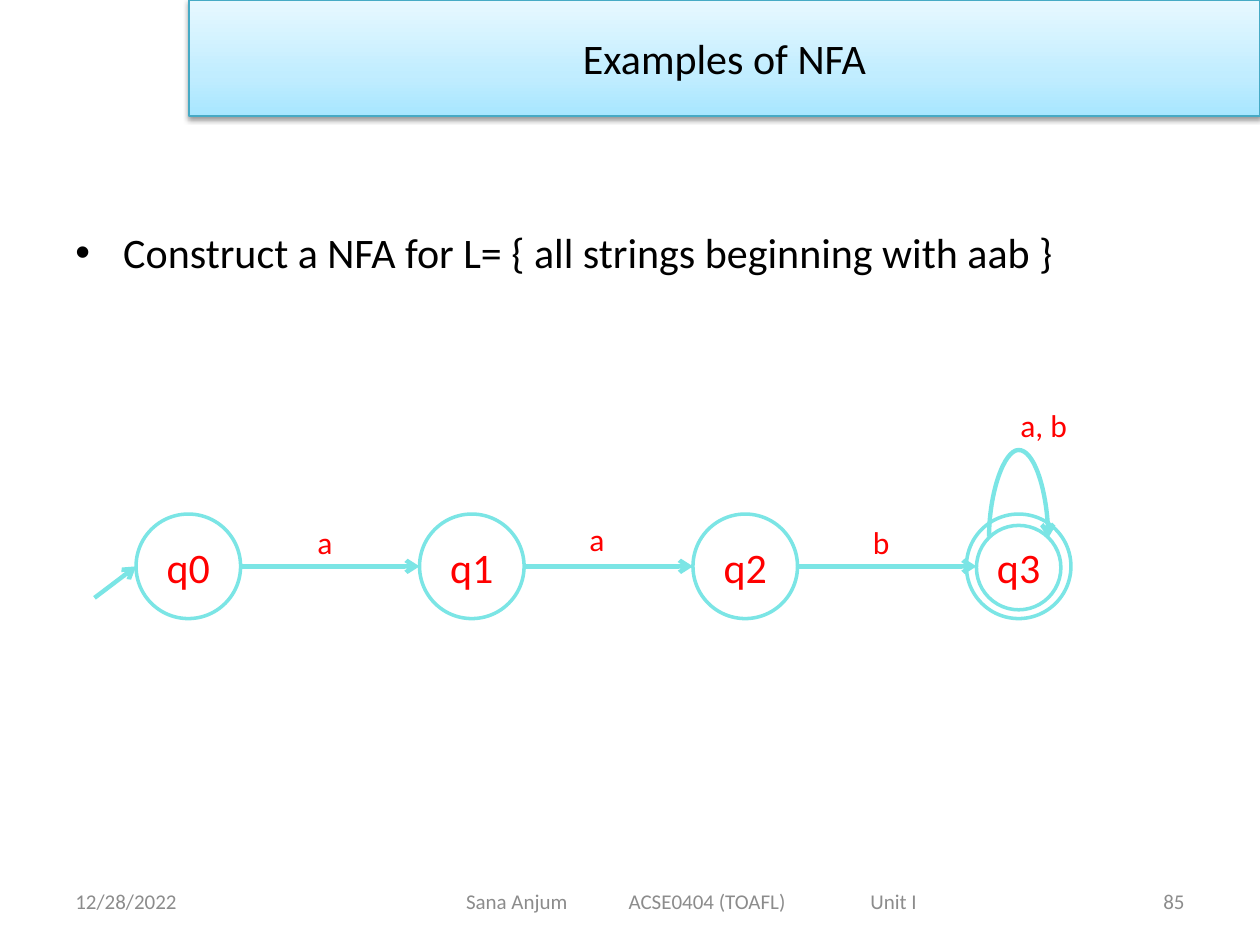
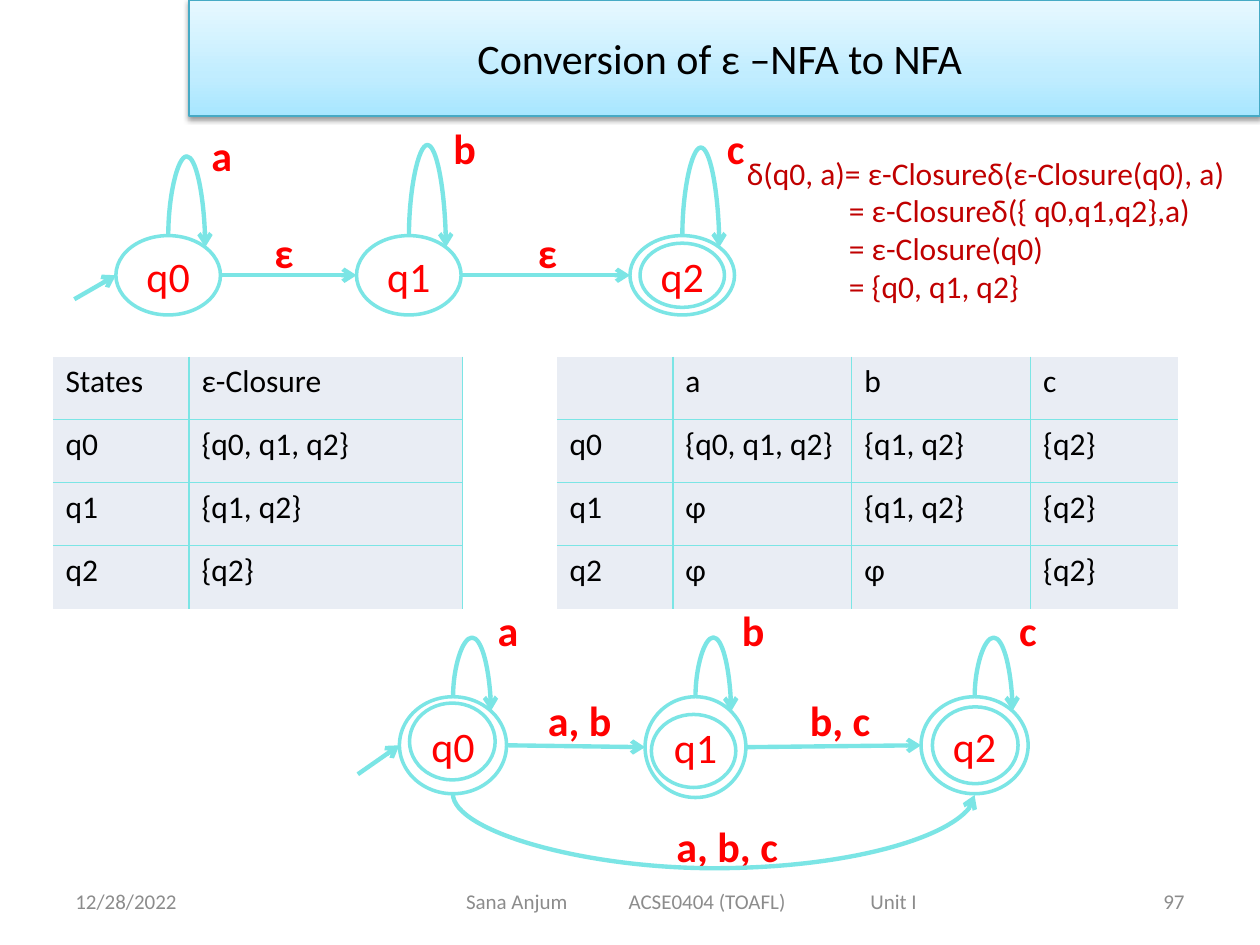
from dataclasses import dataclass
from math import sqrt
from typing import Optional

from lxml import etree
from pptx import Presentation, util as u
from pptx.dml.color import RGBColor
from pptx.enum import shapes, text
from pptx.oxml import ns
from pptx.slide import Slide

FONT = "Calibri"
COLORS = {
    "text": "000000", "footer": "8C8C8C", "state": "FF0000", "formula": "C00000",
    "line": "7BE5E5", "cell": "E9EDF4", "band_line": "46AAC5", "shadow": "000000",
}
BAND_STOPS = {0: "A7E6FF", 35: "C1EDFF", 100: "E7F8FF"}
ALIGN = text.PP_ALIGN
MIDDLE = text.MSO_ANCHOR.MIDDLE
FOOTER_TABS = (1.29, 3.21)
MIN_RISE = 0.01


@dataclass(frozen=True)
class Box:
    left: float
    top: float
    width: float
    height: float

    @property
    def center_x(self) -> float:
        return self.left + self.width / 2

    @property
    def center_y(self) -> float:
        return self.top + self.height / 2

    @property
    def right(self) -> float:
        return self.left + self.width

    @property
    def bottom(self) -> float:
        return self.top + self.height

    def lengths(self) -> tuple[u.Inches, ...]:
        return tuple(u.Inches(v) for v in (self.left, self.top, self.width, self.height))


@dataclass(frozen=True)
class State:
    name: str
    outer: Box
    inner: Optional[Box] = None
    loop_apex: Optional[float] = None
    entry: Optional[float] = None


@dataclass(frozen=True)
class Label:
    words: str
    left: float
    top: float
    width: float = 0.58


@dataclass(frozen=True)
class Automaton:
    states: list[State]
    labels: list[Label]
    start_drop: float
    label_format: dict


@dataclass(frozen=True)
class Grid:
    box: Box
    columns: list[float]
    rows: list[list[str]]
    right_edge: bool = False


LABEL = {"size": u.Pt(18)}
BOLD_LABEL = {"size": u.Pt(24), "bold": True}


def rgb(color: str) -> RGBColor:
    return RGBColor.from_string(COLORS[color])


def child(parent, tag: str, **attributes):
    return etree.SubElement(parent, ns.qn(tag), {k: str(v) for k, v in attributes.items()})


def write(frame, lines: list[str], color: str, form: dict, align=ALIGN.LEFT,
          anchor=text.MSO_ANCHOR.TOP) -> None:
    frame.word_wrap = True
    frame.vertical_anchor = anchor
    frame.text = "\n".join(lines)
    for paragraph in frame.paragraphs:
        paragraph.alignment = align
        for key, value in {"name": FONT, **form}.items():
            setattr(paragraph.font, key, value)
        paragraph.font.color.rgb = rgb(color)


def add_text(slide: Slide, box: Box, lines: list[str], color: str, form: dict, **layout):
    frame = slide.shapes.add_textbox(*box.lengths()).text_frame
    write(frame, lines, color, form, **layout)
    return frame


def add_band(slide: Slide, title: str) -> None:
    band = slide.shapes.add_shape(shapes.MSO_SHAPE.RECTANGLE, *Box(1.5, 0, 8.5, 0.92).lengths())
    band.fill.gradient()
    band.fill.gradient_angle = 90
    properties = band._element.spPr
    stops = properties.find(".//" + ns.qn("a:gsLst"))
    stops.clear()
    for position, color in BAND_STOPS.items():
        child(child(stops, "a:gs", pos=position * 1000), "a:srgbClr", val=color)
    band.line.color.rgb = rgb("band_line")
    band.line.width = u.Pt(0.75)
    band.shadow.inherit = False
    shadow = child(properties.find(ns.qn("a:effectLst")), "a:outerShdw", blurRad=u.Pt(3.1),
                   dist=u.Pt(1.6), dir=5400000, rotWithShape=0)
    child(child(shadow, "a:srgbClr", val=COLORS["shadow"]), "a:alpha", val=38000)
    write(band.text_frame, [title], "text", {"size": u.Pt(24)}, ALIGN.CENTER, MIDDLE)


def add_footer(slide: Slide, number: int) -> None:
    form = {"size": u.Pt(12)}
    add_text(slide, Box(0.5, 6.95, 2.33, 0.4), ["12/28/2022"], "footer", form, anchor=MIDDLE)
    course = add_text(slide, Box(3.6, 6.95, 4.65, 0.4),
                      ["Sana Anjum\tACSE0404 (TOAFL)\tUnit I"], "footer", form, anchor=MIDDLE)
    properties = course.paragraphs[0]._p.get_or_add_pPr()
    tabs = etree.Element(ns.qn("a:tabLst"))
    for stop in FOOTER_TABS:
        child(tabs, "a:tab", pos=u.Inches(stop), algn="l")
    properties.insert(0, tabs)
    add_text(slide, Box(7.17, 6.95, 2.33, 0.4), [str(number)], "footer", form,
             align=ALIGN.RIGHT, anchor=MIDDLE)


def add_arrow(slide: Slide, x1: float, y1: float, x2: float, y2: float,
              kind=shapes.MSO_CONNECTOR.STRAIGHT):
    arrow = slide.shapes.add_connector(kind, *(u.Inches(v) for v in (x1, y1, x2, y2)))
    arrow.line.color.rgb = rgb("line")
    arrow.line.width = u.Pt(2.5)
    properties = arrow._element.spPr
    child(properties.get_or_add_ln(), "a:tailEnd", type="arrow")
    child(properties, "a:effectLst")
    return arrow


def add_arc(slide: Slide, x1: float, y1: float, x2: float, y2: float, apex: float) -> None:
    """Curve that leaves and arrives vertically, turning at the height apex."""
    rise, span = max(y2 - y1, MIN_RISE), x2 - x1
    left, top = (x1 + x2 - rise) / 2, y1 + (rise - span) / 2
    arc = add_arrow(slide, left, top, left + rise, top + span, shapes.MSO_CONNECTOR.CURVE)
    properties = arc._element.spPr
    frame = properties.find(ns.qn("a:xfrm"))
    for key, value in {"rot": "16200000", "flipH": "1"}.items():
        frame.set(key, value)
    geometry = properties.find(ns.qn("a:prstGeom"))
    for old in list(geometry):
        geometry.remove(old)
    bend = round((apex - y1) / rise * 100000)
    child(child(geometry, "a:avLst"), "a:gd", name="adj1", fmla=f"val {bend}")


def add_ellipse(slide: Slide, box: Box):
    ellipse = slide.shapes.add_shape(shapes.MSO_SHAPE.OVAL, *box.lengths())
    ellipse.fill.background()
    ellipse.line.color.rgb = rgb("line")
    ellipse.line.width = u.Pt(2)
    ellipse.shadow.inherit = False
    return ellipse


def add_state(slide: Slide, state: State) -> None:
    outer = state.outer
    if state.inner:
        add_ellipse(slide, state.inner)
    write(add_ellipse(slide, outer).text_frame, [state.name], "state", {"size": u.Pt(24)},
          ALIGN.CENTER, MIDDLE)
    if state.loop_apex is not None:
        add_arc(slide, outer.center_x, outer.top, outer.center_x + outer.width / sqrt(8),
                outer.center_y - outer.height / sqrt(8), state.loop_apex)


def add_automaton(slide: Slide, automaton: Automaton) -> None:
    first = automaton.states[0].outer
    add_arrow(slide, first.left - 0.33, first.center_y + automaton.start_drop,
              first.left, first.center_y)
    for source, target in zip(automaton.states, automaton.states[1:]):
        add_arrow(slide, source.outer.right, source.outer.center_y,
                  target.entry or target.outer.left, target.outer.center_y)
    for state in automaton.states:
        add_state(slide, state)
    for label in automaton.labels:
        add_text(slide, Box(label.left, label.top, label.width, 0.4), [label.words], "state",
                 automaton.label_format)


def set_borders(cell, drawn: dict[str, bool]) -> None:
    properties = cell._tc.get_or_add_tcPr()
    for place, (side, visible) in enumerate(drawn.items()):
        border = etree.Element(ns.qn(f"a:ln{side}"), {"w": str(u.Pt(1))})
        if visible:
            child(child(border, "a:solidFill"), "a:srgbClr", val=COLORS["line"])
        else:
            child(border, "a:noFill")
        properties.insert(place, border)


def add_grid(slide: Slide, grid: Grid) -> None:
    last_row, last_column = len(grid.rows) - 1, len(grid.columns) - 1
    table = slide.shapes.add_table(last_row + 1, last_column + 1, *grid.box.lengths()).table
    table.first_row = table.horz_banding = False
    for column, width in zip(table.columns, grid.columns):
        column.width = u.Inches(width)
    for r, row in enumerate(grid.rows):
        for c, words in enumerate(row):
            cell = table.cell(r, c)
            cell.fill.solid()
            cell.fill.fore_color.rgb = rgb("cell")
            write(cell.text_frame, [words], "text", {"size": u.Pt(18)})
            set_borders(cell, {"L": c > 0, "R": c < last_column or grid.right_edge,
                               "T": r > 0, "B": r < last_row})


def add_page(deck, title: str, number: int) -> Slide:
    slide = deck.slides.add_slide(deck.slide_layouts[6])
    add_footer(slide, number)
    add_band(slide, title)
    return slide


def build_nfa_example(deck) -> None:
    slide = add_page(deck, "Examples of NFA", 85)
    task = add_text(slide, Box(0.5, 1.75, 9, 0.6),
                    ["Construct a NFA for L= { all strings beginning with aab }"], "text",
                    {"size": u.Pt(24)})
    properties = task.paragraphs[0]._p.get_or_add_pPr()
    for key, value in {"marL": u.Inches(0.38), "indent": u.Inches(-0.38)}.items():
        properties.set(key, str(value))
    bullet = [etree.Element(ns.qn("a:buFont"), typeface="Arial"),
              etree.Element(ns.qn("a:buChar"), char="•")]
    for place, part in enumerate(bullet):
        properties.insert(place, part)
    lefts = (1.08, 3.33, 5.5)
    states = [State(f"q{i}", Box(left, 4.08, 0.83, 0.83)) for i, left in enumerate(lefts)]
    states.append(State("q3", Box(7.67, 4.08, 0.83, 0.83), Box(7.75, 4.17, 0.67, 0.67),
                        entry=7.75))
    labels = [Label("a", 2.42, 4.1), Label("a", 4.58, 4.08), Label("b", 6.83, 4.1),
              Label("a, b", 8, 3.17)]
    add_automaton(slide, Automaton(states, labels, 0.25, LABEL))
    add_arc(slide, 7.85, 4.26, 8.32, 4.27, 3.56)


def build_conversion(deck) -> None:
    slide = add_page(deck, "Conversion of ε –NFA to NFA ", 97)
    add_automaton(slide, Automaton(
        [State("q0", Box(0.92, 1.87, 0.83, 0.63), loop_apex=1.24),
         State("q1", Box(2.83, 1.87, 0.83, 0.63), loop_apex=1.15),
         State("q2", Box(5, 1.87, 0.83, 0.63), Box(5.08, 1.93, 0.67, 0.51), 1.17)],
        [Label("ε", 2.08, 1.75), Label("ε", 4.17, 1.75), Label("a", 1.58, 0.98),
         Label("b", 3.5, 0.92), Label("c", 5.67, 0.92)], 0.19, BOLD_LABEL))
    add_grid(slide, Grid(Box(0.42, 2.83, 3.25, 2), [1.08, 2.17], [
        ["States", "ε-Closure"],
        ["q0", "{q0, q1, q2}"],
        ["q1", "{q1, q2}"],
        ["q2", "{q2}"]], right_edge=True))
    add_grid(slide, Grid(Box(4.42, 2.83, 4.92, 2), [0.92, 1.42, 1.42, 1.17], [
        ["", "a", "b", "c"],
        ["q0", "{q0, q1, q2}", "{q1, q2}", "{q2}"],
        ["q1", "φ", "{q1, q2}", "{q2}"],
        ["q2", "φ", "φ", "{q2}"]]))
    q0, q1, q2 = (Box(3.17, 5.53, 0.85, 0.77), Box(5.12, 5.53, 0.8, 0.8),
                  Box(7.31, 5.53, 0.85, 0.77))
    add_automaton(slide, Automaton(
        [State("q0", q0, Box(3.25, 5.58, 0.68, 0.61), 5.06),
         State("q1", q1, Box(5.17, 5.67, 0.67, 0.58), 5.06),
         State("q2", q2, Box(7.4, 5.61, 0.68, 0.61), 5.06)],
        [Label("a, b", 4.25, 5.46, 0.73), Label("b, c", 6.33, 5.46, 0.73),
         Label("a", 3.85, 4.75), Label("b", 5.79, 4.75), Label("c", 7.99, 4.75),
         Label("a, b, c", 5.27, 6.46, 1.06)], 0.23, BOLD_LABEL))
    add_arc(slide, q0.center_x, q0.bottom, q2.center_x, q2.bottom, 6.9)
    formula = add_text(slide, Box(5.83, 1.17, 4.17, 1.31), [
        "δ(q0, a)= ε-Closureδ(ε-Closure(q0), a)", "= ε-Closureδ({ q0,q1,q2},a)",
        "= ε-Closure(q0)", "= {q0, q1, q2}"], "formula", {"size": u.Pt(18)})
    for step in formula.paragraphs[1:]:
        step._p.get_or_add_pPr().set("marL", str(u.Inches(0.81)))


def main() -> None:
    deck = Presentation()
    deck.slide_width, deck.slide_height = u.Inches(10), u.Inches(7.5)
    build_nfa_example(deck)
    build_conversion(deck)
    deck.save("out.pptx")


if __name__ == "__main__":
    main()
